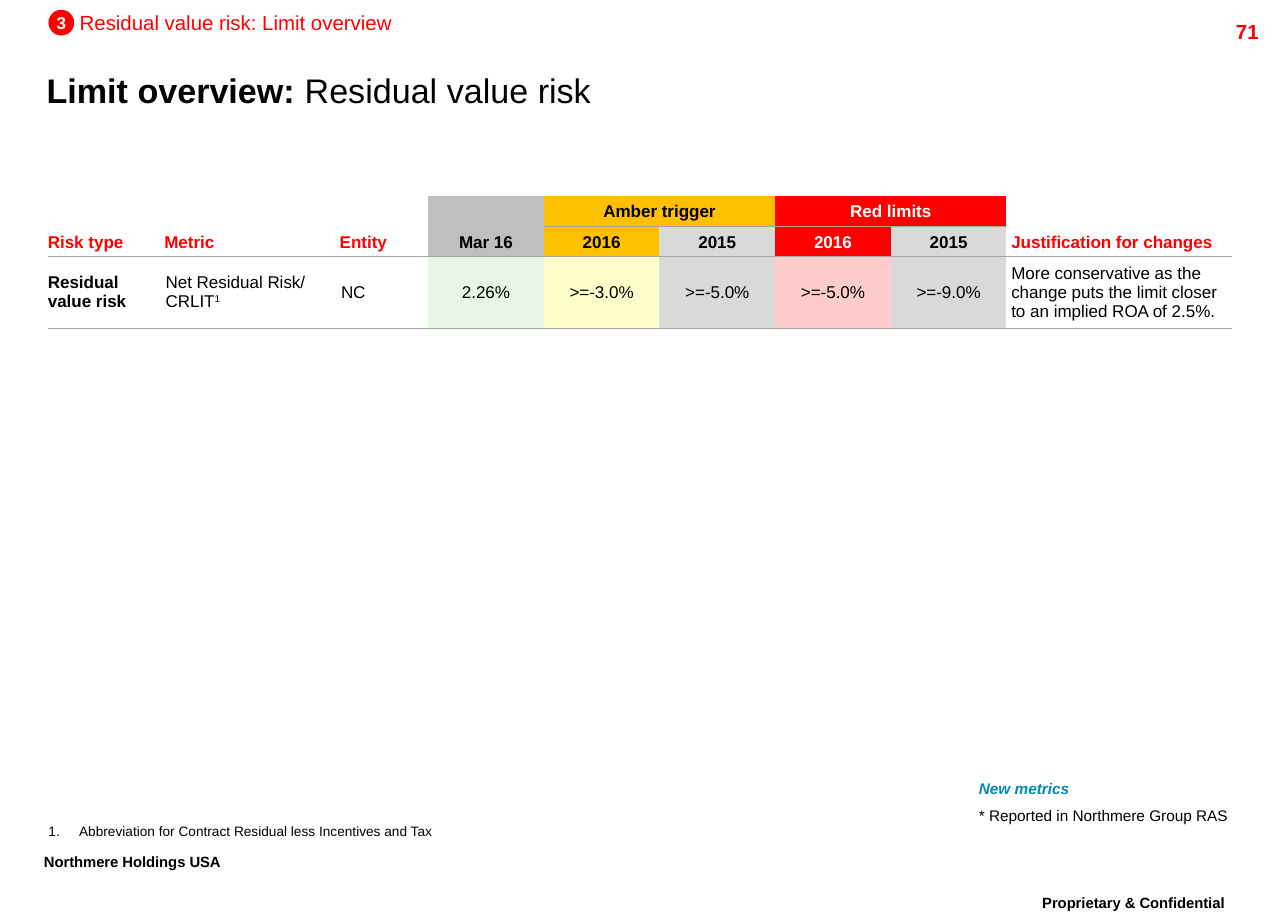
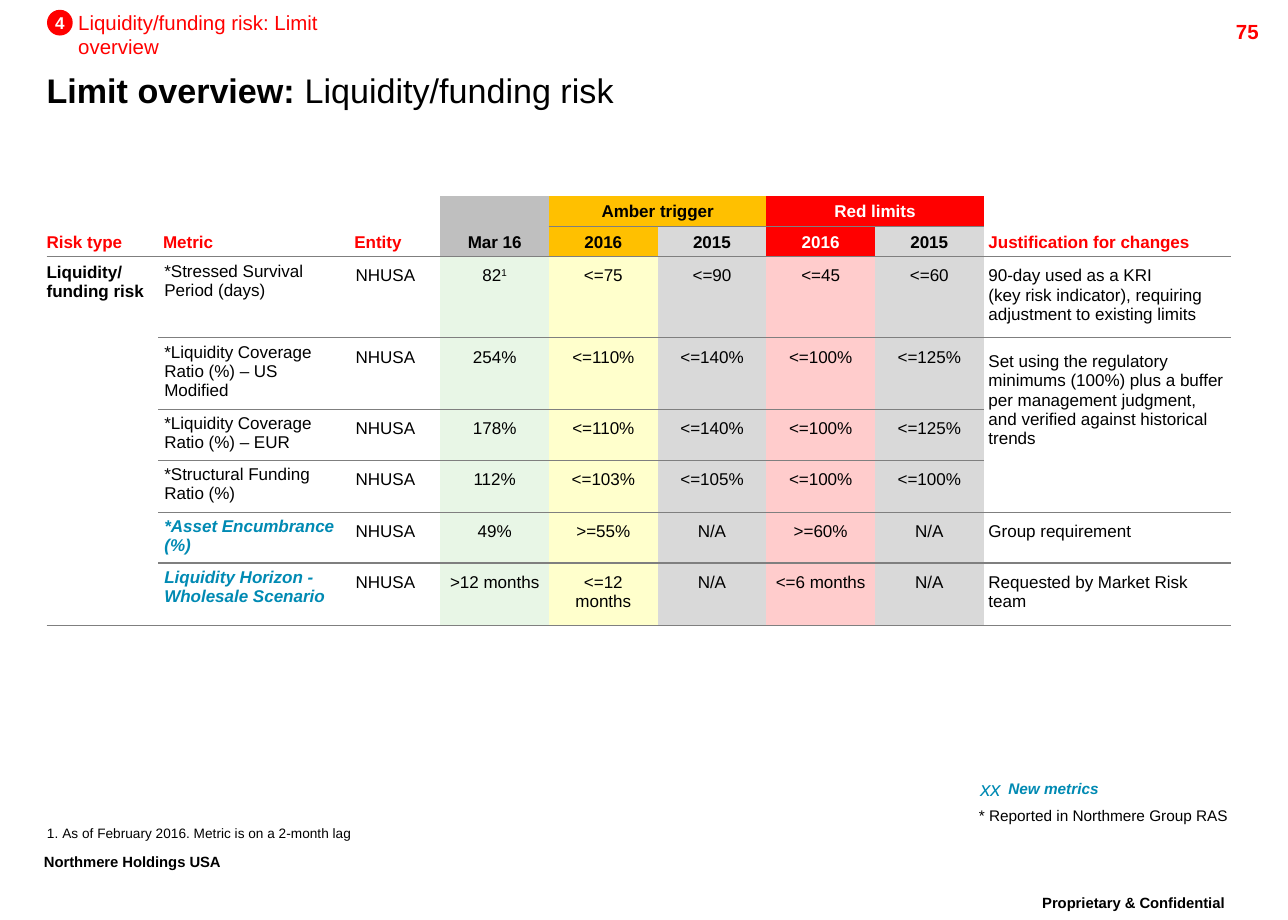
from dataclasses import dataclass
from lxml import etree
from pptx import Presentation, util as u
from pptx.dml.color import RGBColor
from pptx.enum import shapes, text as t
from pptx.oxml import ns


@dataclass(frozen=True)
class Theme:
    font: str = "Arial"
    black: str = "000000"
    white: str = "FFFFFF"
    red: str = "FF0000"
    amber: str = "FFC000"
    new: str = "008AB3"
    dark_grey: str = "BFBFBF"
    grey: str = "D9D9D9"
    pale_green: str = "E8F6E6"
    pale_amber: str = "FFFFCC"
    pale_red: str = "FFCCCC"
    title: int = 20
    footer: int = 15
    section: int = 12
    table: int = 10
    legend: int = 9
    note: int = 8


theme = Theme()
presentation = Presentation()
presentation.slide_width, presentation.slide_height = u.Inches(10.5), u.Inches(7.5)
GRID = presentation.slide_width // 105  # 105 columns by 75 rows of square units
LEFT, CENTER, RIGHT = t.PP_ALIGN.LEFT, t.PP_ALIGN.CENTER, t.PP_ALIGN.RIGHT
TOP, MIDDLE, BOTTOM = t.MSO_ANCHOR.TOP, t.MSO_ANCHOR.MIDDLE, t.MSO_ANCHOR.BOTTOM
SUPERSCRIPT = {"superscript": True}
NEW_METRIC = {"bold": True, "italic": True, "color": theme.new}
NO_STYLE = "{2D5ABB26-0587-4C30-8999-92F81FD0307C}"


def write(paragraph, content, align=LEFT, spacing=None, **look):
    """Fill a paragraph from a string or from (text, changes) runs."""
    paragraph.alignment, paragraph.line_spacing = align, spacing
    runs = [(content, {})] if isinstance(content, str) else content
    for words, changes in runs:
        if words == "\n":
            paragraph.add_line_break()
            continue
        run = paragraph.add_run()
        run.text = words
        values = {"name": theme.font, "color": theme.black, **look, **changes}
        for name, value in values.items():
            if name == "color":
                run.font.color.rgb = RGBColor.from_string(value)
            elif name == "superscript":
                run._r.get_or_add_rPr().set("baseline", "30000")
            else:
                setattr(run.font, name, u.Pt(value) if name == "size" else value)


def add_text(slide, box, content, anchor=TOP, inset=0, wrap=True, number_indent=0, **look):
    """Add a text box; box is left, top, width and height in grid units."""
    shape = slide.shapes.add_textbox(*(int(GRID * length) for length in box))
    frame = shape.text_frame
    frame.word_wrap, frame.vertical_anchor = wrap, anchor
    for side, margin in zip(("left", "top", "right", "bottom"), (inset, inset / 2) * 2):
        setattr(frame, f"margin_{side}", int(GRID * margin))
    paragraph = frame.paragraphs[0]
    if number_indent:
        properties = paragraph._p.get_or_add_pPr()
        properties.set("marL", str(int(GRID * number_indent)))
        properties.set("indent", str(-int(GRID * number_indent)))
        etree.SubElement(properties, ns.qn("a:buAutoNum"), type="arabicPeriod")
    write(paragraph, content, **look)


pages = [
    {
        "page": "71", "section": "3", "risk": "Residual value risk", "left": 3.95,
        "note": "Abbreviation for Contract Residual less Incentives and Tax",
        "note_top": 67.1, "note_indent": 2.5, "new_left": 79.8, "marker": None,
        "table_left": 3.9, "line": "A5A5A5", "anchor": MIDDLE,
        "columns": [9.1, 14.3, 7.6] + [9.43] * 5 + [18.4],
        "rows": [5.8],
        "type": "Residual value risk",
        "merges": [],
        "body": [
            [[("Net Residual Risk/ CRLIT", {}), ("1", SUPERSCRIPT)], "NC", "2.26%",
             ">=-3.0%", ">=-5.0%", ">=-5.0%", ">=-9.0%",
             "More conservative as the change puts the limit closer to an implied ROA of 2.5%."],
        ],
    },
    {
        "page": "75", "section": "4", "risk": "Liquidity/funding risk", "left": 3.83,
        "note": "As of February 2016. Metric is on a 2-month lag",
        "note_top": 67.3, "note_indent": 1.25, "new_left": 82.2, "marker": "xx",
        "table_left": 3.8, "line": "7F7F7F", "anchor": TOP,
        "columns": [9.1, 15.6, 7.4] + [8.86] * 5 + [20.2],
        "rows": [6.6, 5.8, 4.2, 4.2, 4.15, 5.1],
        "type": "Liquidity/ funding risk",
        "merges": [(2, 0, 7, 0), (3, 8, 5, 8)],
        "body": [
            ["*Stressed Survival Period (days)", "NHUSA", [("82", {}), ("1", SUPERSCRIPT)],
             "<=75", "<=90", "<=45", "<=60",
             [("90-day used as a KRI", {}), ("\n", {}),
              ("(key risk indicator), requiring adjustment to existing limits", {})]],
            ["*Liquidity Coverage Ratio (%) – US Modified", "NHUSA", "254%",
             "<=110%", "<=140%", "<=100%", "<=125%",
             "Set using the regulatory minimums (100%) plus a buffer per management judgment, "
             "and verified against historical trends"],
            ["*Liquidity Coverage Ratio (%) – EUR", "NHUSA", "178%",
             "<=110%", "<=140%", "<=100%", "<=125%", ""],
            ["*Structural Funding Ratio (%)", "NHUSA", "112%",
             "<=103%", "<=105%", "<=100%", "<=100%", ""],
            [[("*Asset Encumbrance (%)", NEW_METRIC)], "NHUSA", "49%",
             ">=55%", "N/A", ">=60%", "N/A", "Group requirement"],
            [[("Liquidity Horizon - Wholesale Scenario", NEW_METRIC)], "NHUSA", ">12 months",
             "<=12 months", "N/A", "<=6 months", "N/A", "Requested by Market Risk team"],
        ],
    },
]

header_text = [
    ["Risk type", "Metric", "Entity", "Mar 16", "Amber trigger", "", "Red limits", "",
     "Justification for changes"],
    ["", "", "", "", "2016", "2015", "2016", "2015", ""],
]
plain = [theme.white] * 3
header_fills = [
    plain + [theme.dark_grey] + [theme.amber] * 2 + [theme.red] * 2 + [theme.white],
    plain + [theme.dark_grey, theme.amber, theme.grey, theme.red, theme.grey, theme.white],
]
body_fills = plain + [theme.pale_green, theme.pale_amber, theme.grey,
                      theme.pale_red, theme.grey, theme.white]
header_merges = [(0, column, 1, column) for column in (0, 1, 2, 3, 8)]
header_merges += [(0, 4, 0, 5), (0, 6, 0, 7)]

for page in pages:
    slide = presentation.slides.add_slide(presentation.slide_layouts[6])

    # Footers, page number, title and section marker
    footer = {"inset": 1, "spacing": 0.86, "size": theme.footer, "bold": True, **SUPERSCRIPT}
    add_text(slide, (81.5, 72.5, 21.8, 3.5), "Proprietary & Confidential", align=CENTER, **footer)
    add_text(slide, (2.6, 69.1, 19.1, 3.5), "Northmere Holdings USA", wrap=False, **footer)
    add_text(slide, (93.6, 1.1, 10, 2.4), page["page"], inset=1, align=RIGHT,
             size=theme.section, bold=True, color=theme.red)
    add_text(slide, (3.8, 4.9, 94.8, 4.8),
             [("Limit overview: ", {"bold": True}), (page["risk"], {})],
             anchor=MIDDLE, size=theme.title)
    add_text(slide, (page["left"] + 2.55, 0.8, 26, 2), f"{page['risk']}: Limit overview",
             wrap=False, size=theme.section, color=theme.red)
    circle = slide.shapes.add_shape(shapes.MSO_SHAPE.OVAL, int(GRID * page["left"]),
                                    int(GRID * 0.8), int(GRID * 2.1), int(GRID * 2.1))
    circle.shadow.inherit = False
    circle.fill.solid()
    circle.fill.fore_color.rgb = RGBColor.from_string(theme.red)
    circle.line.fill.background()
    frame = circle.text_frame
    frame.word_wrap, frame.vertical_anchor = False, MIDDLE
    frame.margin_left = frame.margin_right = frame.margin_top = frame.margin_bottom = 0
    write(frame.paragraphs[0], page["section"], align=CENTER, size=theme.table,
          bold=True, color=theme.white)

    # Limit table
    heights = [2.45, 2.45] + page["rows"]
    columns = page["columns"]
    graphic = slide.shapes.add_table(
        len(heights), len(columns), int(GRID * page["table_left"]), 16 * GRID,
        int(GRID * sum(columns)), int(GRID * sum(heights)))
    table = graphic.table
    table._tbl.tblPr.find(ns.qn("a:tableStyleId")).text = NO_STYLE
    table.first_row = table.horz_banding = False
    for column, width in zip(table.columns, columns):
        column.width = int(GRID * width)
    for row, height in zip(table.rows, heights):
        row.height = int(GRID * height)
    merges = header_merges + page["merges"]
    for top, left, bottom, right in merges:
        table.cell(top, left).merge(table.cell(bottom, right))

    body = [[page["type"] if not index else ""] + row for index, row in enumerate(page["body"])]
    for row, contents in enumerate(header_text + body):
        header = row < 2
        fills = header_fills[row] if header else body_fills
        for column, content in enumerate(contents):
            cell = table.cell(row, column)
            cell.fill.solid()
            cell.fill.fore_color.rgb = RGBColor.from_string(fills[column])
            inside_merge = any(top < row < bottom and left == column
                               for top, left, bottom, right in merges)
            if not inside_merge and (row != 1 or column not in range(4, 8) or header):
                line = etree.Element(ns.qn("a:lnB"), w=str(u.Pt(0.75)))
                solid = etree.SubElement(line, ns.qn("a:solidFill"))
                etree.SubElement(solid, ns.qn("a:srgbClr"), val=page["line"])
                cell._tc.get_or_add_tcPr().insert(0, line)

            side = 0.4 if header or column == 8 else 0.5
            upright = 0.4
            if not header and page["anchor"] == TOP:
                upright = 0.5 if column == 0 else 0.4 if column == 1 else 0.8
                if page["body"][row - 2][0] == page["body"][1][0] and column == 8:
                    upright = 1.2
            cell.margin_left = int(GRID * (side if column else 0))
            cell.margin_right = int(GRID * side)
            cell.margin_top = cell.margin_bottom = int(GRID * upright)
            cell.vertical_anchor = BOTTOM if header else page["anchor"]

            color = theme.black
            if header and fills[column] == theme.white:
                color = theme.red
            elif header and fills[column] == theme.red:
                color = theme.white
            paragraph = cell.text_frame.paragraphs[0]
            paragraph.font.size = u.Pt(theme.table)
            write(paragraph, content, align=CENTER if 3 <= column <= 7 else LEFT,
                  size=theme.table, bold=header or column == 0, color=color)

    # Footnote and legend
    add_text(slide, (page["left"], page["note_top"], 61.5, 1.3), page["note"], anchor=BOTTOM,
             number_indent=page["note_indent"], size=theme.note)
    legend = {"wrap": False, "spacing": 0.86, "size": theme.legend}
    add_text(slide, (79.8, 65.9, 20.3, 1.3), "* Reported in Northmere Group RAS",
             anchor=BOTTOM, **legend)
    add_text(slide, (page["new_left"], 63.7, 7.4, 1.3), "New metrics", **legend,
             bold=True, italic=True, color=theme.new)
    if page["marker"]:
        add_text(slide, (78.6, 63.5, 4.3, 1.9), page["marker"], anchor=MIDDLE, inset=1,
                 align=CENTER, spacing=0.86, size=theme.section, italic=True, color=theme.new)

presentation.save("out.pptx")
